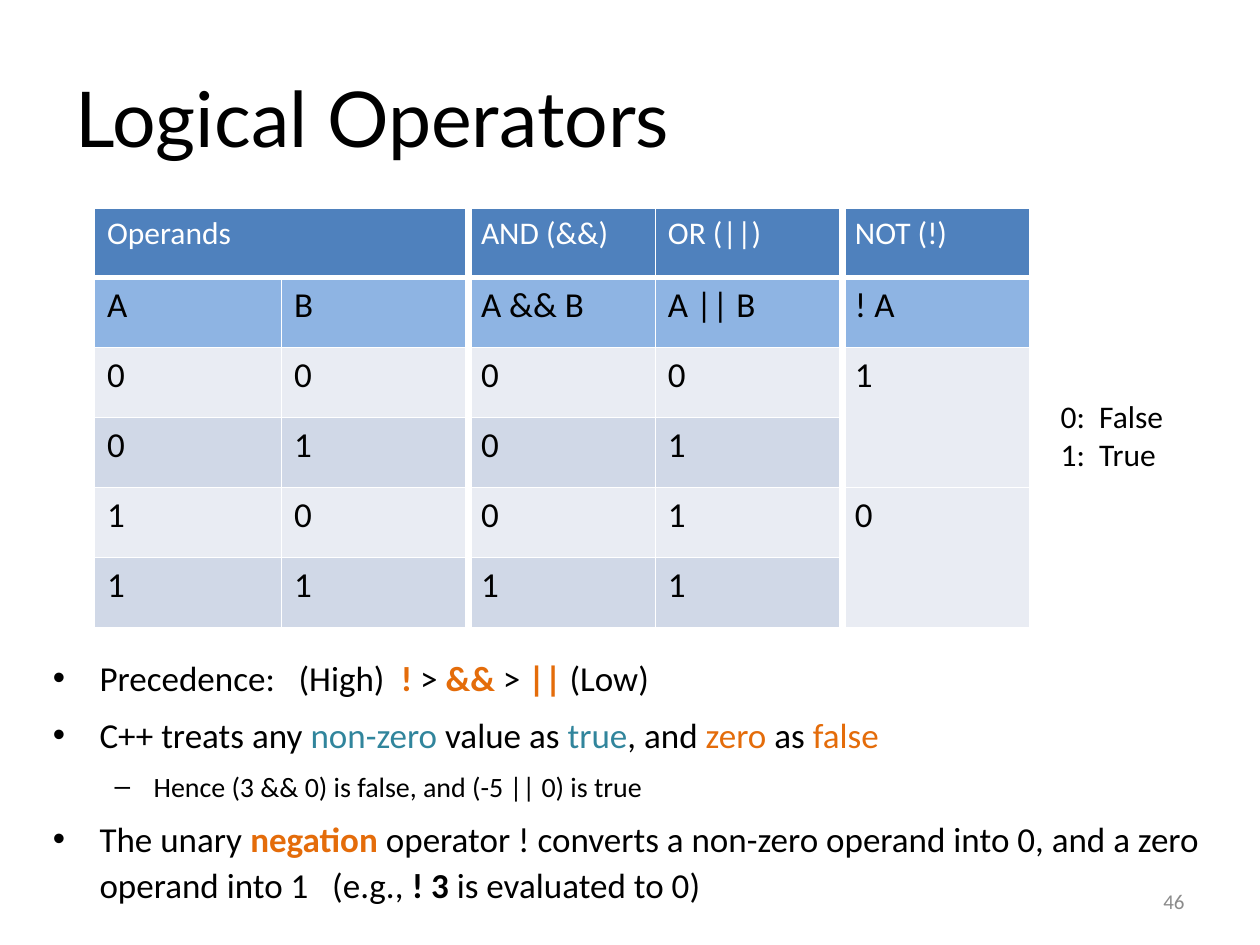
"""Build the slide on logical operators and their truth table."""
import dataclasses
import typing

import pptx
import pptx.dml.color
import pptx.enum.text
import pptx.oxml
import pptx.oxml.ns
import pptx.util

Color = pptx.dml.color.RGBColor
BLACK = Color(0x00, 0x00, 0x00)
WHITE = Color(0xFF, 0xFF, 0xFF)
GRAY = Color(0x8B, 0x8B, 0x8B)
ORANGE = Color(0xE4, 0x6C, 0x0A)
TEAL = Color(0x31, 0x85, 0x9C)
HEADER_BLUE = Color(0x4F, 0x81, 0xBD)
SUBHEADER_BLUE = Color(0x8E, 0xB4, 0xE3)
BANDS = (Color(0xE9, 0xEC, 0xF3), Color(0xD0, 0xD8, 0xE7))

WIDTH, HEIGHT = pptx.util.Inches(10), pptx.util.Inches(7.5)
GRID_COLUMNS, GRID_ROWS = 100, 75
THIN, HEADER_RULE, GROUP_RULE = 0.96, 3, 4.48
GROUP_ENDS = (1, 3)


class Region(typing.NamedTuple):
    """A rectangle in columns and rows of the slide grid."""

    left: float
    top: float
    width: float
    height: float

    def lengths(self) -> tuple[int, int, int, int]:
        """Return left, top, width and height as slide lengths."""
        column, row = WIDTH / GRID_COLUMNS, HEIGHT / GRID_ROWS
        return (round(self.left * column), round(self.top * row),
                round(self.width * column), round(self.height * row))


class Piece(typing.NamedTuple):
    """A stretch of text in one colour and weight."""

    text: str
    color: Color = BLACK
    bold: bool = False


@dataclasses.dataclass(frozen=True)
class Bullet:
    """One entry of the list."""

    pieces: tuple[Piece, ...]
    level: int = 0


class BulletStyle(typing.NamedTuple):
    """The mark, size and indents in inches of a list level."""

    mark: str
    size: int
    margin: float
    indent: float


BULLET_STYLES = (BulletStyle("•", 20, 0.38, -0.37), BulletStyle("–", 16, 0.81, -0.31))
BULLETS = (
    Bullet((Piece("Precedence:   (High)  "), Piece("!", ORANGE, True), Piece(" > "),
            Piece("&&", ORANGE, True), Piece(" > "), Piece("||", ORANGE, True),
            Piece(" (Low)"))),
    Bullet((Piece("C++ treats any "), Piece("non-zero", TEAL), Piece(" value as "),
            Piece("true", TEAL), Piece(", and "), Piece("zero", ORANGE),
            Piece(" as "), Piece("false", ORANGE))),
    Bullet((Piece("Hence (3 && 0) is false, and (-5 || 0) is true"),), 1),
    Bullet((Piece("The unary "), Piece("negation ", ORANGE, True),
            Piece("operator ! converts a non-zero operand into 0, and a zero "
                  "operand into 1   (e.g., "),
            Piece("! 3", bold=True), Piece(" is evaluated to 0)"))),
)
TRUTH_TABLE = (
    ("Operands", "", "AND (&&)", "OR (||)", "NOT (!)"),
    ("A", "B", "A && B", "A || B", "! A"),
    ("0", "0", "0", "0", "1"),
    ("0", "1", "0", "1", ""),
    ("1", "0", "0", "1", "0"),
    ("1", "1", "1", "1", ""),
)
MERGES = (((0, 0), (0, 1)), ((2, 4), (3, 4)), ((4, 4), (5, 4)))

TITLE_REGION = Region(5, 3, 90, 12.5)
BODY_REGION = Region(3.1, 51.3, 93.9, 20.7)
TABLE_REGION = Region(7.5, 16.5, 74.2, 33.3)
LEGEND_REGION = Region(83.2, 31, 12.3, 7)
NUMBER_REGION = Region(71.7, 69.5, 23.3, 4)


def apply(target: typing.Any, values: dict[str, typing.Any]) -> None:
    """Set each named attribute of the target."""
    for name, value in values.items():
        setattr(target, name, value)


def add_span(para: typing.Any, piece: Piece, size: float, font: str = "Calibri") -> None:
    """Append a formatted piece of text to a paragraph."""
    span = para.add_run()
    span.text = piece.text
    apply(span.font, {"name": font, "size": pptx.util.Pt(size), "bold": piece.bold})
    span.font.color.rgb = piece.color


def place(box: typing.Any, region: Region, anchor: typing.Any, wrap: bool = True) -> None:
    """Move a box and set up its text frame."""
    apply(box, dict(zip(("left", "top", "width", "height"), region.lengths())))
    apply(box.text_frame, {
        "auto_size": pptx.enum.text.MSO_AUTO_SIZE.NONE,
        "vertical_anchor": anchor, "word_wrap": wrap,
        "margin_left": pptx.util.Inches(0.1), "margin_right": pptx.util.Inches(0.1),
        "margin_top": pptx.util.Inches(0.05), "margin_bottom": pptx.util.Inches(0.05),
    })


def next_para(frame: typing.Any, index: int) -> typing.Any:
    """Return the first paragraph of a frame or a new one."""
    return frame.add_paragraph() if index else frame.paragraphs[0]


def add_bullet(para: typing.Any, bullet: Bullet) -> None:
    """Fill a paragraph with a list entry."""
    style = BULLET_STYLES[bullet.level]
    apply(para, {"level": bullet.level, "line_spacing": 1.1,
                 "space_before": pptx.util.Pt(6), "space_after": pptx.util.Pt(0),
                 "alignment": pptx.enum.text.PP_ALIGN.LEFT})
    properties = para._p.get_or_add_pPr()
    properties.set("marL", str(pptx.util.Inches(style.margin)))
    properties.set("indent", str(pptx.util.Inches(style.indent)))
    namespace = pptx.oxml.ns.nsdecls("a")
    for markup in (f'<a:buClr {namespace}><a:srgbClr val="{BLACK}"/></a:buClr>',
                   f'<a:buFont {namespace} typeface="Arial"/>',
                   f'<a:buChar {namespace} char="{style.mark}"/>'):
        properties.append(pptx.oxml.parse_xml(markup))
    for piece in bullet.pieces:
        add_span(para, piece, style.size)


def set_borders(cell: typing.Any, row: int, column: int) -> None:
    """Draw the white rules around a table cell."""
    last = column + (cell.span_width - 1 if cell.is_merge_origin else 0)
    widths = {
        "lnL": GROUP_RULE if column - 1 in GROUP_ENDS else THIN,
        "lnR": GROUP_RULE if last in GROUP_ENDS else THIN,
        "lnT": HEADER_RULE if row == 1 else THIN,
        "lnB": HEADER_RULE if row == 0 else THIN,
    }
    properties = cell._tc.get_or_add_tcPr()
    for index, (side, width) in enumerate(widths.items()):
        properties.insert(index, pptx.oxml.parse_xml(
            f'<a:{side} {pptx.oxml.ns.nsdecls("a")} w="{pptx.util.Pt(width)}">'
            f'<a:solidFill><a:srgbClr val="{WHITE}"/></a:solidFill></a:{side}>'))


def add_truth_table(page: typing.Any) -> None:
    """Add the table of operands and results."""
    table = page.shapes.add_table(len(TRUTH_TABLE), len(TRUTH_TABLE[0]),
                                  *TABLE_REGION.lengths()).table
    for first, last in MERGES:
        table.cell(*first).merge(table.cell(*last))
    for row, texts in enumerate(TRUTH_TABLE):
        fill = (HEADER_BLUE, SUBHEADER_BLUE, *BANDS, *BANDS)[row]
        color, size = (WHITE, 18) if row == 0 else (BLACK, 20)
        for column, text in enumerate(texts):
            cell = table.cell(row, column)
            cell.fill.solid()
            cell.fill.fore_color.rgb = fill
            set_borders(cell, row, column)
            if text:
                add_span(cell.text_frame.paragraphs[0], Piece(text, color), size)


def main() -> None:
    """Build and save the deck."""
    deck = pptx.Presentation()
    apply(deck, {"slide_width": WIDTH, "slide_height": HEIGHT})
    page = deck.slides.add_slide(deck.slide_layouts[1])
    anchors = pptx.enum.text.MSO_ANCHOR
    title, body = page.shapes.title, page.placeholders[1]
    place(title, TITLE_REGION, anchors.MIDDLE)
    title_para = title.text_frame.paragraphs[0]
    title_para.alignment = pptx.enum.text.PP_ALIGN.LEFT
    add_span(title_para, Piece("Logical Operators"), 44, "Lato")
    place(body, BODY_REGION, anchors.TOP)
    for index, bullet in enumerate(BULLETS):
        add_bullet(next_para(body.text_frame, index), bullet)
    number = page.shapes.add_textbox(*NUMBER_REGION.lengths())
    place(number, NUMBER_REGION, anchors.MIDDLE)
    number_para = number.text_frame.paragraphs[0]
    number_para.alignment = pptx.enum.text.PP_ALIGN.RIGHT
    add_span(number_para, Piece("46", GRAY), 12)
    add_truth_table(page)
    legend = page.shapes.add_textbox(*LEGEND_REGION.lengths())
    place(legend, LEGEND_REGION, anchors.TOP, wrap=False)
    for index, text in enumerate(("0:  False", "1:  True")):
        add_span(next_para(legend.text_frame, index), Piece(text), 18)
    deck.save("out.pptx")


if __name__ == "__main__":
    main()
